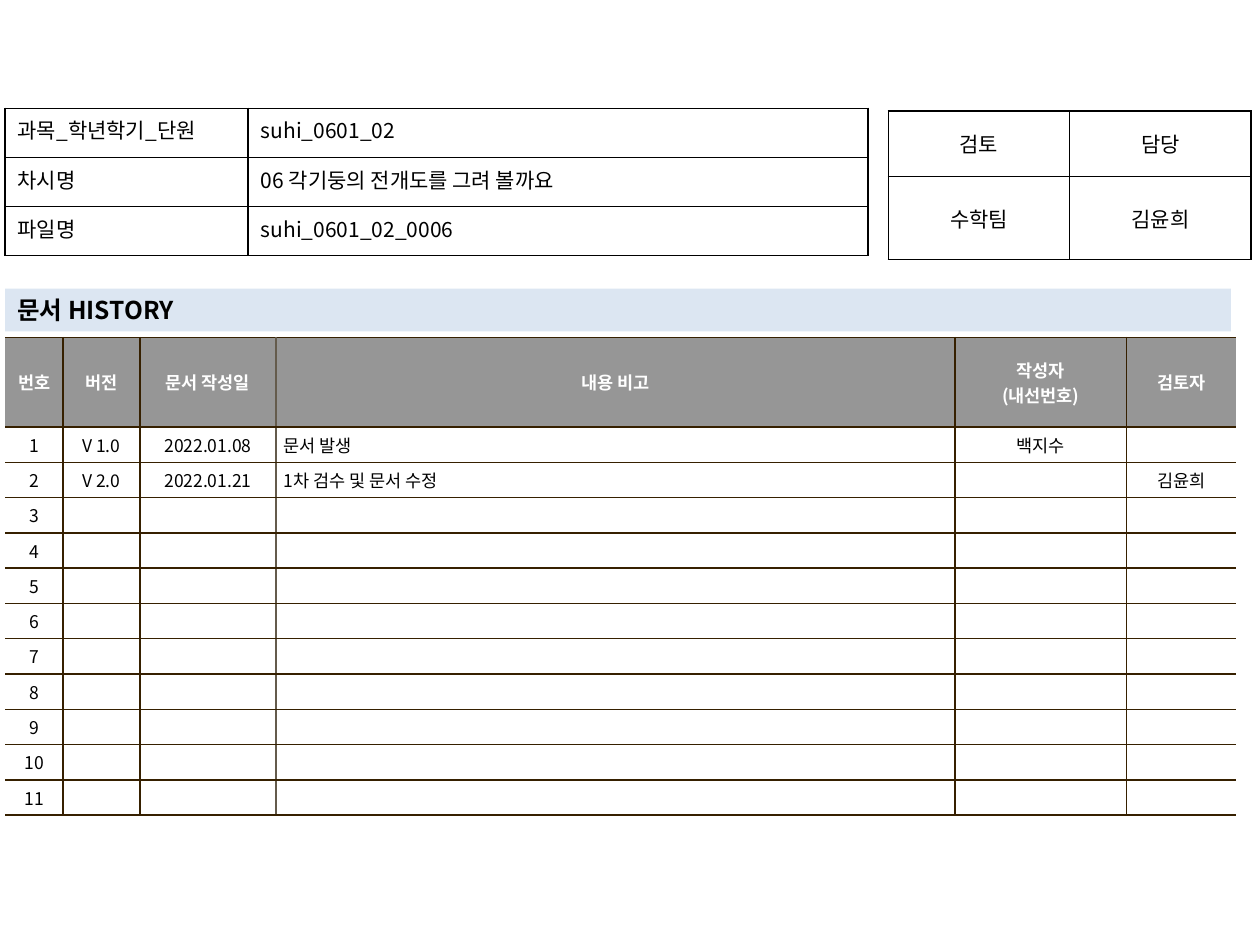
from dataclasses import dataclass

from lxml import etree
from pptx import Presentation
from pptx.dml.color import RGBColor
from pptx.enum import shapes, text
from pptx.oxml.ns import qn
from pptx.text.text import Font
from pptx.util import Inches, Pt


@dataclass(frozen=True)
class Theme:
    face: str = "Noto Sans CJK KR"
    ink: str = "000000"
    white: str = "FFFFFF"
    header: str = "969696"
    band: str = "DCE6F2"
    brown: str = "362000"
    taupe: str = "645B4C"
    small: int = 10
    normal: int = 12
    title: int = 14


theme = Theme()
align = text.PP_ALIGN
anchor = text.MSO_ANCHOR


def write(frame, content, size, color, bold, alignment):
    for index, line in enumerate(content.split("\n")):
        para = frame.paragraphs[0] if index == 0 else frame.add_paragraph()
        para.alignment = alignment
        if line:
            span = para.add_run()
            span.text = line
            font = span.font
            properties = span._r.get_or_add_rPr()
        else:
            properties = para._p.get_or_add_endParaRPr()
            font = Font(properties)
        font.name, font.size, font.bold = theme.face, Pt(size), bold
        font.color.rgb = RGBColor.from_string(color)
        etree.SubElement(properties, qn("a:ea"), typeface=theme.face)


def add_grid(page, rows, left, top, widths, heights, style):
    table = page.shapes.add_table(
        len(rows), len(widths), Inches(left), Inches(top),
        Inches(sum(widths)), Inches(sum(heights))).table
    table.first_row = table.horz_banding = False
    for column, width in zip(table.columns, widths):
        column.width = Inches(width)
    for row, height in zip(table.rows, heights):
        row.height = Inches(height)
    for r, values in enumerate(rows):
        for c, value in enumerate(values):
            cell = table.cell(r, c)
            look = style(r, c)
            cell.margin_left = cell.margin_right = Inches(look["margins"][0])
            cell.margin_top = cell.margin_bottom = Inches(look["margins"][1])
            cell.vertical_anchor = look["anchor"]
            for side, color in zip("LRTB", look["borders"]):
                line = etree.SubElement(cell._tc.get_or_add_tcPr(), qn(f"a:ln{side}"), w=str(Pt(1)))
                if color:
                    fill = etree.SubElement(line, qn("a:solidFill"))
                    etree.SubElement(fill, qn("a:srgbClr"), val=color)
                else:
                    etree.SubElement(line, qn("a:noFill"))
            if look["fill"]:
                cell.fill.solid()
                cell.fill.fore_color.rgb = RGBColor.from_string(look["fill"])
            else:
                cell.fill.background()
            write(cell.text_frame, value, look["size"], look["color"], look["bold"], look["align"])


deck = Presentation()
deck.slide_width, deck.slide_height = Inches(10), Inches(7.5)
page = deck.slides.add_slide(deck.slide_layouts[6])

history = [
    ["번호", "버전", "문서 작성일", "내용 비고", "작성자\n(내선번호)", "검토자"],
    ["1", "V 1.0", "2022.01.08", "문서 발생", "백지수", ""],
    ["2", "V 2.0", "2022.01.21", "1차 검수 및 문서 수정", "", "김윤희"],
]
history += [[str(number)] + [""] * 5 for number in range(3, 12)]
column_edges = [None, theme.brown, theme.brown, theme.taupe, theme.brown, theme.brown, None]
plain = dict(margins=(0.1, 0.05), borders=[theme.ink] * 4, fill=None,
             size=theme.normal, color=theme.ink, bold=False)

add_grid(page, history, 0.04, 2.68, [0.46, 0.61, 1.08, 5.39, 1.36, 0.87],
         [0.71] + [0.25] * 11,
         lambda r, c: dict(
             margins=(0.06, 0.04), anchor=anchor.MIDDLE,
             borders=column_edges[c:c + 2] + [theme.brown] * 2,
             fill=theme.white if r else theme.header, size=theme.small,
             color=theme.ink if r else theme.white, bold=r == 0,
             align=align.LEFT if r and c == 3 else align.CENTER))

add_grid(page, [["검토", "담당"], ["수학팀", "김윤희"]], 7.05, 0.88, [1.44, 1.44], [0.52, 0.66],
         lambda r, c: dict(plain, anchor=anchor.MIDDLE, align=align.CENTER))

box = page.shapes.add_shape(shapes.MSO_SHAPE.RECTANGLE, Inches(0.04), Inches(2.29),
                            Inches(9.73), Inches(0.34))
box.shadow.inherit = False
box.fill.solid()
box.fill.fore_color.rgb = RGBColor.from_string(theme.band)
box.line.fill.background()
box.text_frame.word_wrap = True
box.text_frame.vertical_anchor = anchor.MIDDLE
write(box.text_frame, "문서 HISTORY", theme.title, theme.ink, True, align.LEFT)

document = [
    ["과목_학년학기_단원", "suhi_0601_02"],
    ["차시명", "06 각기둥의 전개도를 그려 볼까요"],
    ["파일명", "suhi_0601_02_0006"],
]
add_grid(page, document, 0.04, 0.86, [1.93, 4.92], [0.39] * 3,
         lambda r, c: dict(plain, anchor=anchor.TOP, align=align.LEFT if c else align.JUSTIFY))

deck.save("out.pptx")
